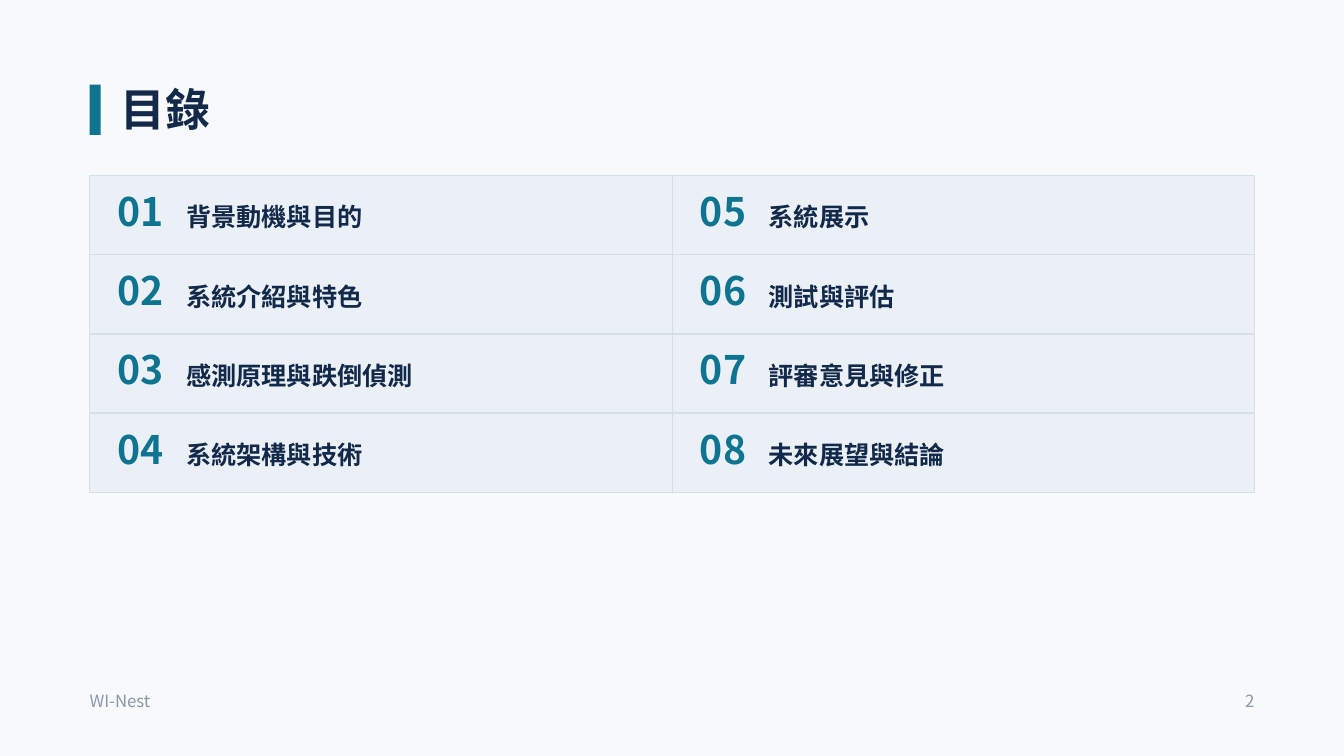
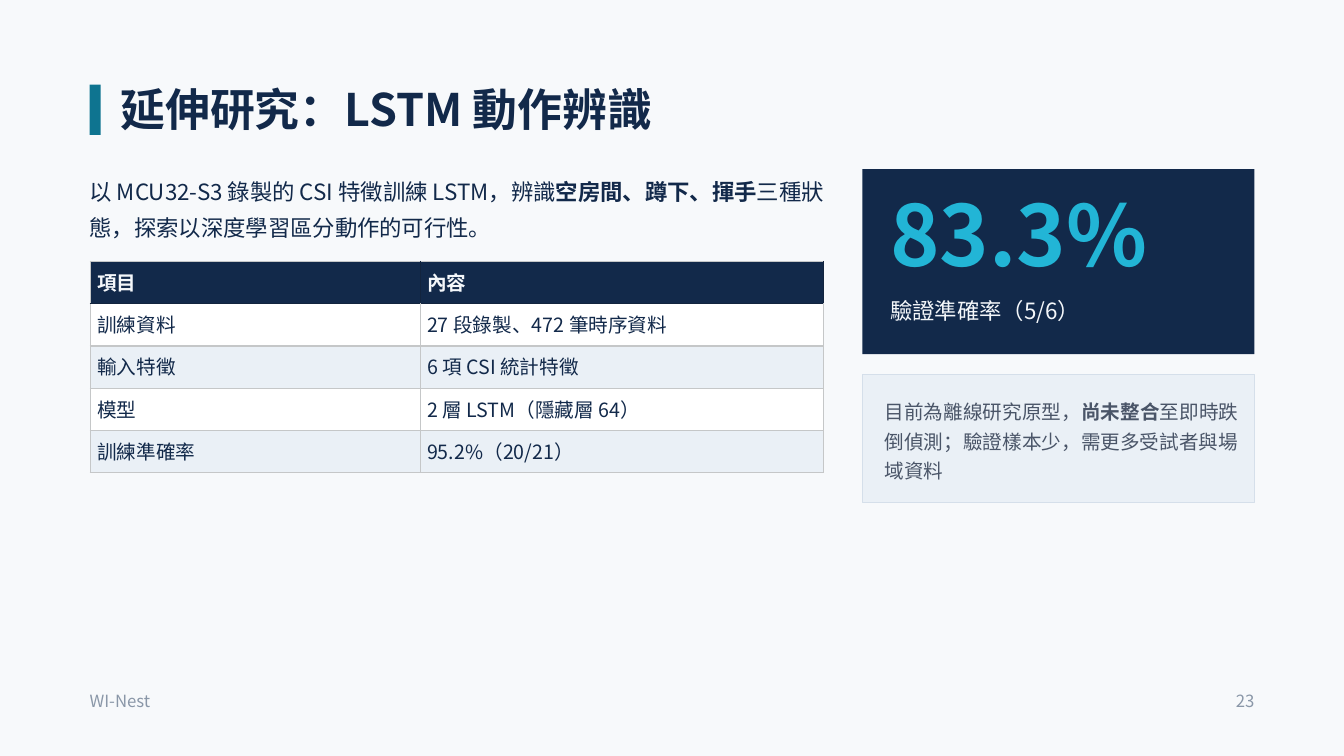
from dataclasses import dataclass

from lxml import etree
from pptx import Presentation
from pptx.dml.color import RGBColor
from pptx.enum.shapes import MSO_SHAPE
from pptx.enum.text import MSO_ANCHOR, PP_ALIGN
from pptx.oxml.ns import qn
from pptx.util import Pt


@dataclass(frozen=True)
class Theme:
    font: str = "Noto Sans CJK TC"
    background: str = "F7F9FB"
    navy: str = "12294A"
    teal: str = "0E7490"
    cyan: str = "22B5D6"
    panel: str = "EAF0F6"
    panel_line: str = "D5DFEA"
    white: str = "FFFFFF"
    pale: str = "F4F7FA"
    slate: str = "4A5568"
    muted: str = "8A97A8"
    header_line: str = "12243E"
    grid_line: str = "C5C7C8"
    title: float = 32
    number: float = 28
    heading: float = 18
    body: float = 16
    small: float = 14
    footer: float = 12
    figure: float = 60
    left: float = 64
    right: float = 896


class Deck:
    def __init__(self, theme, brand):
        self.theme = theme
        self.brand = brand
        self.file = Presentation()
        self.file.slide_width = Pt(960)
        self.file.slide_height = Pt(540)
        self.slide = None

    def new_slide(self, title, page):
        t = self.theme
        self.slide = self.file.slides.add_slide(self.file.slide_layouts[6])
        fill = self.slide.background.fill
        fill.solid()
        fill.fore_color.rgb = RGBColor.from_string(t.background)
        self.box(t.left, 60.4, 8, 36, t.teal)
        self.text(86, 59.8, 500, 39, title, t.title, t.navy, 36.8, bold=True)
        self.text(t.left, 491, 206, 19, self.brand, t.footer, t.muted, 16.8)
        self.text(t.right - 104, 491, 104, 19, str(page), t.footer, t.muted, 16.8,
                  align=PP_ALIGN.RIGHT)

    def box(self, x, y, w, h, fill, line=None):
        shape = self.slide.shapes.add_shape(MSO_SHAPE.RECTANGLE, Pt(x), Pt(y), Pt(w), Pt(h))
        shape.shadow.inherit = False
        shape.fill.solid()
        shape.fill.fore_color.rgb = RGBColor.from_string(fill)
        if line:
            shape.line.color.rgb = RGBColor.from_string(line)
            shape.line.width = Pt(0.5)
        else:
            shape.line.fill.background()
        return shape

    def text(self, x, y, w, h, content, size, color, spacing, bold=False, align=PP_ALIGN.LEFT):
        frame = self.slide.shapes.add_textbox(Pt(x), Pt(y), Pt(w), Pt(h)).text_frame
        self.fill_text(frame, content, size, color, spacing, bold, align)

    def fill_text(self, frame, content, size, color, spacing, bold=False,
                  align=PP_ALIGN.LEFT, insets=(0, 0, 0, 0)):
        frame.word_wrap = True
        frame.vertical_anchor = MSO_ANCHOR.TOP
        (frame.margin_left, frame.margin_top,
         frame.margin_right, frame.margin_bottom) = map(Pt, insets)
        paragraph = frame.paragraphs[0]
        paragraph.alignment = align
        paragraph.line_spacing = Pt(spacing)
        runs = [(content, bold)] if isinstance(content, str) else content
        for words, strong in runs:
            run = paragraph.add_run()
            run.text = words
            font = run.font
            font.size = Pt(size)
            font.bold = strong
            font.color.rgb = RGBColor.from_string(color)
            font.name = self.theme.font
            latin = run._r.find(qn("a:rPr")).find(qn("a:latin"))
            east_asian = etree.Element(qn("a:ea"), typeface=self.theme.font)
            latin.addnext(east_asian)

    def table(self, x, y, widths, row_height, rows):
        t = self.theme
        frame = self.slide.shapes.add_table(len(rows), len(widths), Pt(x), Pt(y),
                                            Pt(sum(widths)), Pt(row_height * len(rows)))
        table = frame.table
        table.horz_banding = False
        table.first_row = False
        for column, width in zip(table.columns, widths):
            column.width = Pt(width)
        for r, values in enumerate(rows):
            table.rows[r].height = Pt(row_height)
            header = r == 0
            fill = t.navy if header else (t.white if r % 2 else t.panel)
            for c, value in enumerate(values):
                cell = table.cell(r, c)
                self.fill_text(cell.text_frame, value, t.small, t.pale if header else t.navy,
                               19.6, bold=header)
                cell.margin_left = cell.margin_right = Pt(5)
                cell.margin_top = cell.margin_bottom = Pt(5)
                cell.fill.solid()
                cell.fill.fore_color.rgb = RGBColor.from_string(fill)
                self.borders(cell, {
                    "L": t.header_line if header and c else t.grid_line,
                    "R": t.header_line if header else t.grid_line,
                    "T": t.header_line if r == 1 else t.grid_line,
                    "B": t.header_line if header else t.grid_line,
                })

    def borders(self, cell, colors):
        properties = cell._tc.get_or_add_tcPr()
        for position, (side, color) in enumerate(colors.items()):
            line = etree.Element(qn(f"a:ln{side}"), w=str(int(Pt(1))))
            solid = etree.SubElement(line, qn("a:solidFill"))
            etree.SubElement(solid, qn("a:srgbClr"), val=color)
            properties.insert(position, line)


def add_contents(deck):
    t = deck.theme
    deck.new_slide("目錄", 2)
    topics = [
        "背景動機與目的", "系統介紹與特色", "感測原理與跌倒偵測", "系統架構與技術",
        "系統展示", "測試與評估", "評審意見與修正", "未來展望與結論",
    ]
    width = (t.right - t.left) / 2
    for index, topic in enumerate(topics):
        column, row = divmod(index, 4)
        x, y = t.left + column * width, 125.3 + row * 56.7
        deck.box(x, y, width, 56.2, t.panel, t.panel_line)
        deck.text(x + 20, y + 13.9, 40, 30, f"{index + 1:02}", t.number, t.teal, 28, bold=True)
        deck.text(x + 69, y + 15.1, 240, 27, topic, t.heading, t.navy, 25.2, bold=True)


def add_lstm_study(deck):
    t = deck.theme
    deck.new_slide("延伸研究：LSTM 動作辨識", 23)
    deck.text(t.left, 121, 540, 53, [
        ("以 MCU32-S3 錄製的 CSI 特徵訓練 LSTM，辨識", False),
        ("空房間、蹲下、揮手", True),
        ("三種狀態，探索以深度學習區分動作的可行性。", False),
    ], t.body, t.navy, 25.6)
    deck.table(64.5, 186.8, [235.6, 288], 30.2, [
        ("項目", "內容"),
        ("訓練資料", "27 段錄製、472 筆時序資料"),
        ("輸入特徵", "6 項 CSI 統計特徵"),
        ("模型", "2 層 LSTM（隱藏層 64）"),
        ("訓練準確率", "95.2%（20/21）"),
    ])
    panel_x = 616
    panel_width = t.right - panel_x
    deck.box(panel_x, 120.8, panel_width, 132.2, t.navy)
    deck.text(panel_x + 20, 142.6, 247, 62, "83.3%", t.figure, t.cyan, 60, bold=True)
    deck.text(panel_x + 20, 209, 247, 24.5, "驗證準確率（5/6）", t.body, t.pale, 22.4)
    note = deck.box(panel_x, 267.3, panel_width, 91.5, t.panel, t.panel_line)
    deck.fill_text(note.text_frame, [
        ("目前為離線研究原型，", False),
        ("尚未整合", True),
        ("至即時跌倒偵測；驗證樣本少，需更多受試者與場域資料", False),
    ], t.small, t.slate, 21, insets=(16, 14.4, 8.6, 12))


deck = Deck(Theme(), "WI-Nest")
add_contents(deck)
add_lstm_study(deck)
deck.file.save("out.pptx")
